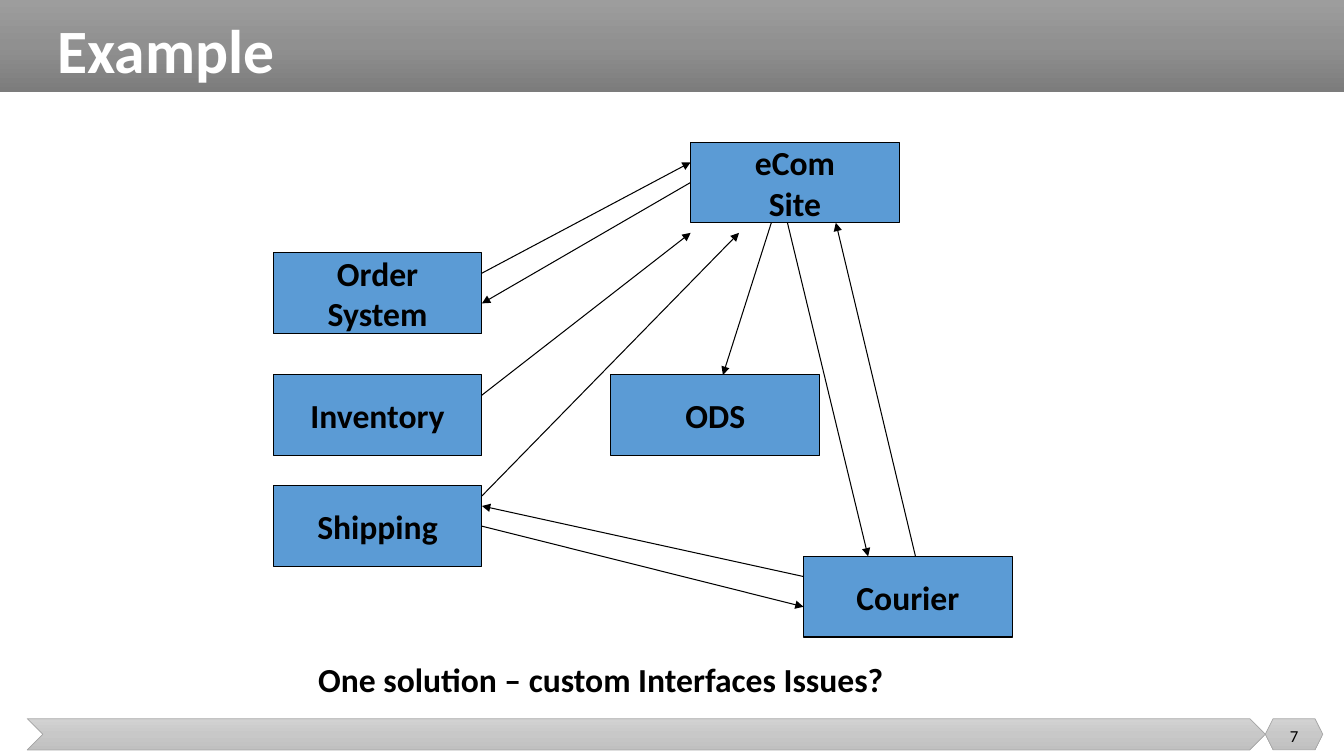
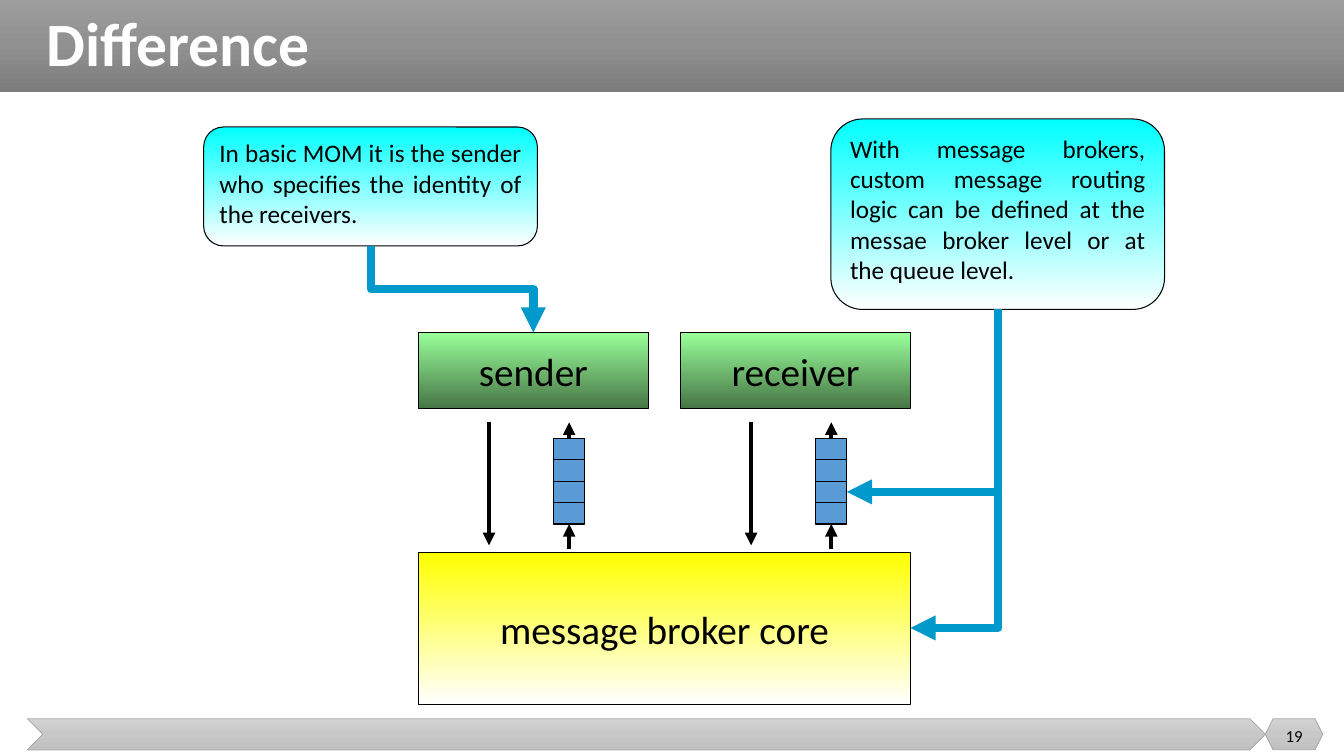
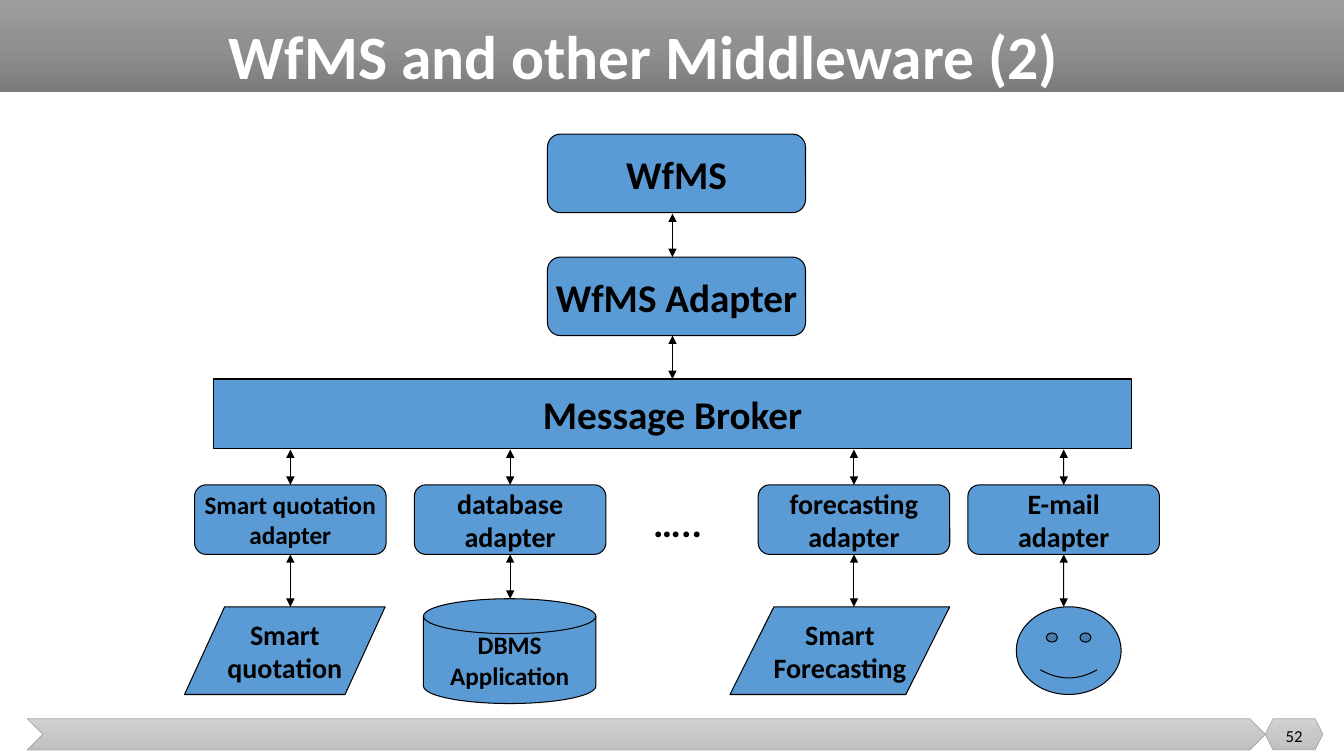
import copy

import lxml.etree
import pptx
import pptx.dml.color
import pptx.enum.shapes
import pptx.enum.text
import pptx.oxml.ns
import pptx.util

Inches = pptx.util.Inches
Pt = pptx.util.Pt
SHAPE = pptx.enum.shapes.MSO_SHAPE
CONNECTOR = pptx.enum.shapes.MSO_CONNECTOR
ALIGN = pptx.enum.text.PP_ALIGN
ANCHOR = pptx.enum.text.MSO_ANCHOR
qn = pptx.oxml.ns.qn

TOP, LEFT, BOTTOM, RIGHT = range(4)

FONT = "Calibri"
BLACK = "000000"
WHITE = "FFFFFF"
BLUE = "5B9BD5"
TEAL = "0099CC"
BAND = ["9D9D9D", "909090", "7C7C7C"]
FOOTER = ["D2D2D2", "C8C8C8", "C0C0C0"]
FOOTER_LINE = "A5A5A5"
GREEN_FADE = ["99FF99", "477647"]
YELLOW_FADE = ["FFFF00", WHITE]
CYAN_FADE = ["00FFFF", WHITE]


def rgb(value):
    return pptx.dml.color.RGBColor.from_string(value)


class Deck:
    """Holds the shared style and the slide being built."""

    def __init__(self):
        self.deck = pptx.Presentation()
        self.deck.slide_width = Inches(13.33)
        self.deck.slide_height = Inches(7.5)
        self.layout = self.deck.slide_layouts[5]
        self.page = None

    def start(self, title, at, number):
        """Add a slide with its title and number."""
        first = self.page is None
        self.page = self.deck.slides.add_slide(self.layout)
        if first:
            self.dress_layout()
        holder = self.page.shapes.title
        holder.left, holder.top, holder.width, holder.height = map(Inches, at)
        self.set_text(holder, title, 44, True, WHITE, ALIGN.LEFT)
        holder.text_frame.paragraphs[0].line_spacing = 0.9
        self.text(number, (12.55, 7.1, 0.57, 0.4), 12,
                  align=ALIGN.CENTER, anchor=ANCHOR.MIDDLE)

    def dress_layout(self):
        """Draw the title band and the footer, and move them to the layout."""
        parts = [
            self.box(SHAPE.RECTANGLE, (0, 0, 13.33, 0.91), BAND, line=None),
            self.box(SHAPE.CHEVRON, (0.27, 7.13, 12.28, 0.31), FOOTER,
                     line=FOOTER_LINE, weight=0.5),
            self.box(SHAPE.HEXAGON, (12.55, 7.13, 0.57, 0.31), FOOTER,
                     line=FOOTER_LINE, weight=0.5),
        ]
        tree = self.layout.shapes._spTree
        for index, part in enumerate(parts):
            element = part._element
            element.xpath("./p:nvSpPr/p:cNvPr")[0].set("id", str(100 + index))
            tree.insert(2 + index, element)

    def set_text(self, shape, text, size, bold=False, color=BLACK,
                 align=ALIGN.CENTER, anchor=ANCHOR.MIDDLE, wrap=True):
        frame = shape.text_frame
        frame.text = text
        frame.word_wrap = wrap
        frame.auto_size = pptx.enum.text.MSO_AUTO_SIZE.NONE
        frame.vertical_anchor = anchor
        for para in frame.paragraphs:
            para.alignment = align
            for span in para.runs:
                span.font.name = FONT
                span.font.size = Pt(size)
                span.font.bold = bold
                span.font.color.rgb = rgb(color)

    def text(self, text, at, size, bold=False, align=ALIGN.LEFT,
             anchor=ANCHOR.TOP):
        box = self.page.shapes.add_textbox(*map(Inches, at))
        self.set_text(box, text, size, bold, align=align, anchor=anchor)

    def paint(self, shape, fill):
        """Fill with one colour, or with a list of colours from top to bottom."""
        if isinstance(fill, str):
            shape.fill.solid()
            shape.fill.fore_color.rgb = rgb(fill)
            return
        shape.fill.gradient()
        shape.fill.gradient_angle = 270
        stop_list = shape._element.spPr.find(".//" + qn("a:gsLst"))
        while len(stop_list) < len(fill):
            stop_list.append(copy.deepcopy(stop_list[-1]))
        for index, stop in enumerate(shape.fill.gradient_stops):
            stop.color.rgb = rgb(fill[index])
            stop.position = index / (len(fill) - 1)

    def box(self, kind, at, fill=BLUE, text=None, size=24, bold=True,
            line=BLACK, weight=0.75, **style):
        shape = self.page.shapes.add_shape(kind, *map(Inches, at))
        shape.shadow.inherit = False
        self.paint(shape, fill)
        if line:
            shape.line.color.rgb = rgb(line)
            shape.line.width = Pt(weight)
        else:
            shape.line.fill.background()
        if text:
            style.setdefault("wrap", False)
            self.set_text(shape, text, size, bold, **style)
        return shape

    def finish_line(self, connector, color, weight, both=False):
        connector.line.color.rgb = rgb(color)
        connector.line.width = Pt(weight)
        stroke = connector.line._get_or_add_ln()
        for tag in ("a:headEnd", "a:tailEnd") if both else ("a:tailEnd",):
            lxml.etree.SubElement(stroke, qn(tag)).set("type", "triangle")
        lxml.etree.SubElement(connector._element.spPr, qn("a:effectLst"))

    def arrow(self, start, end, weight=0.75, both=False,
              begin_at=None, end_at=None):
        """Straight arrow; begin_at and end_at are (box, side) joints."""
        connector = self.page.shapes.add_connector(
            CONNECTOR.STRAIGHT, *map(Inches, start + end))
        if begin_at:
            connector.begin_connect(*begin_at)
        if end_at:
            connector.end_connect(*end_at)
        self.finish_line(connector, BLACK, weight, both)

    def elbow(self, start, end, preset):
        """Thick bent arrow that leaves its start downwards."""
        middle_x = (start[0] + end[0]) / 2
        middle_y = (start[1] + end[1]) / 2
        drop = (end[1] - start[1]) / 2
        shift = (start[0] - end[0]) / 2
        connector = self.page.shapes.add_connector(
            CONNECTOR.ELBOW,
            Inches(middle_x - drop), Inches(middle_y - shift),
            Inches(middle_x + drop), Inches(middle_y + shift))
        properties = connector._element.spPr
        properties.find(qn("a:xfrm")).set("rot", "5400000")
        properties.find(qn("a:prstGeom")).set("prst", preset)
        self.finish_line(connector, TEAL, 6)


def build_example(deck):
    deck.start("Example", (0.47, -0.09, 9, 1.25), "7")
    deck.text("One solution – custom Interfaces Issues?",
              (2.63, 6.49, 6.66, 0.51), 24, True, ALIGN.CENTER)

    # Systems
    systems = {}
    for name, left, top in [
        ("eCom\nSite", 6.85, 1.41),
        ("Courier", 7.97, 5.52),
        ("Shipping", 2.71, 4.82),
        ("Inventory", 2.71, 3.72),
        ("Order\nSystem", 2.71, 2.51),
        ("ODS", 6.06, 3.72),
    ]:
        systems[name] = deck.box(SHAPE.RECTANGLE, (left, top, 2.07, 0.8),
                                 text=name)

    # Interfaces between them
    deck.arrow((6.85, 1.81), (4.78, 3.01),
               begin_at=(systems["eCom\nSite"], LEFT))
    deck.arrow((4.78, 5.22), (7.97, 6.02),
               begin_at=(systems["Shipping"], RIGHT))
    for start, end in [
        ((4.78, 2.71), (6.85, 1.61)),
        ((9.08, 5.52), (8.29, 2.21)),
        ((7.81, 2.21), (8.61, 5.52)),
        ((7.97, 5.72), (4.78, 5.02)),
        ((4.78, 3.92), (6.85, 2.31)),
        ((4.78, 4.92), (7.33, 2.31)),
        ((7.65, 2.21), (7.17, 3.72)),
    ]:
        deck.arrow(start, end)


def build_difference(deck):
    deck.start("Difference", (0.36, -0.16, 9, 1.25), "19")
    deck.box(SHAPE.RECTANGLE, (4.15, 5.48, 4.88, 1.51), YELLOW_FADE,
             "message broker core", 28, False)

    # Each client with its outgoing arrow and incoming queue
    for name, left in [("sender", 4.15), ("receiver", 6.75)]:
        deck.box(SHAPE.RECTANGLE, (left, 3.3, 2.28, 0.75), GREEN_FADE,
                 name, 28, False)
        slots = [
            deck.box(SHAPE.RECTANGLE,
                     (left + 1.34, 4.35 + 0.213 * row, 0.31, 0.21))
            for row in range(4)
        ]
        queue_x = left + 1.495
        deck.arrow((left + 0.7, 4.19), (left + 0.7, 5.41), 3)
        deck.arrow((queue_x, 4.35), (queue_x, 4.19), 3,
                   begin_at=(slots[0], TOP))
        deck.arrow((queue_x, 5.45), (queue_x, 5.2), 3,
                   end_at=(slots[-1], BOTTOM))

    # Explanations
    for text, at in [
        ("In basic MOM it is the sender who specifies the identity of "
         "the receivers.", (2.02, 1.26, 3.31, 1.18)),
        ("With message brokers, custom message routing logic can be defined "
         "at the messae broker level or at the queue level.",
         (8.24, 1.18, 3.31, 1.89)),
    ]:
        deck.box(SHAPE.ROUNDED_RECTANGLE, at, CYAN_FADE, text, 18, False,
                 align=ALIGN.JUSTIFY, anchor=ANCHOR.TOP, wrap=True)
    deck.elbow((3.68, 2.44), (5.29, 3.3), "bentConnector3")
    for end in [(9.03, 6.23), (8.4, 4.88)]:
        deck.elbow((9.9, 3.07), end, "bentConnector2")


def build_middleware(deck):
    deck.start("WfMS and other Middleware (2)", (2.17, 0.08, 9, 1.03), "52")

    # Workflow system and broker
    rounded = SHAPE.FLOWCHART_ALTERNATE_PROCESS
    for name, top in [("WfMS", 1.33), ("WfMS Adapter", 2.55)]:
        deck.box(rounded, (5.43, top, 2.56, 0.78), text=name, size=28)
    broker = deck.box(SHAPE.FLOWCHART_PROCESS, (2.12, 3.76, 9.1, 0.69),
                      text="Message Broker", size=28)
    deck.arrow((6.67, 2.12), (6.67, 2.55), both=True)
    deck.arrow((6.67, 3.33), (6.67, 3.76), both=True, end_at=(broker, TOP))

    # Adapters, each with the application below it
    data = SHAPE.FLOWCHART_DATA
    disk = SHAPE.FLOWCHART_MAGNETIC_DISK
    for left, name, size, kind, at, application, application_size in [
        (1.93, "Smart quotation\nadapter", 18,
         data, (1.83, 6.02, 1.99, 0.87), "Smart\nquotation", 20),
        (4.11, "database\nadapter", 20,
         disk, (4.2, 5.94, 1.71, 1.04), "DBMS\nApplication", 18),
        (7.52, "forecasting\nadapter", 20,
         data, (7.24, 6.02, 2.18, 0.87), "Smart\nForecasting", 20),
        (9.6, "E-mail\nadapter", 20,
         SHAPE.SMILEY_FACE, (10.08, 6.02, 1.04, 0.87), None, 20),
    ]:
        adapter = deck.box(rounded, (left, 4.81, 1.9, 0.69), text=name,
                           size=size)
        deck.box(kind, at, text=application, size=application_size)
        middle = left + 0.95
        deck.arrow((middle, 4.46), (middle, 4.81), both=True,
                   end_at=(adapter, TOP))
        deck.arrow((middle, 5.5), (middle, at[1]), both=True,
                   begin_at=(adapter, BOTTOM))
    deck.text("…..", (6.38, 4.89, 0.85, 0.57), 28, True)


def main():
    deck = Deck()
    build_example(deck)
    build_difference(deck)
    build_middleware(deck)
    deck.deck.save("out.pptx")


if __name__ == "__main__":
    main()
